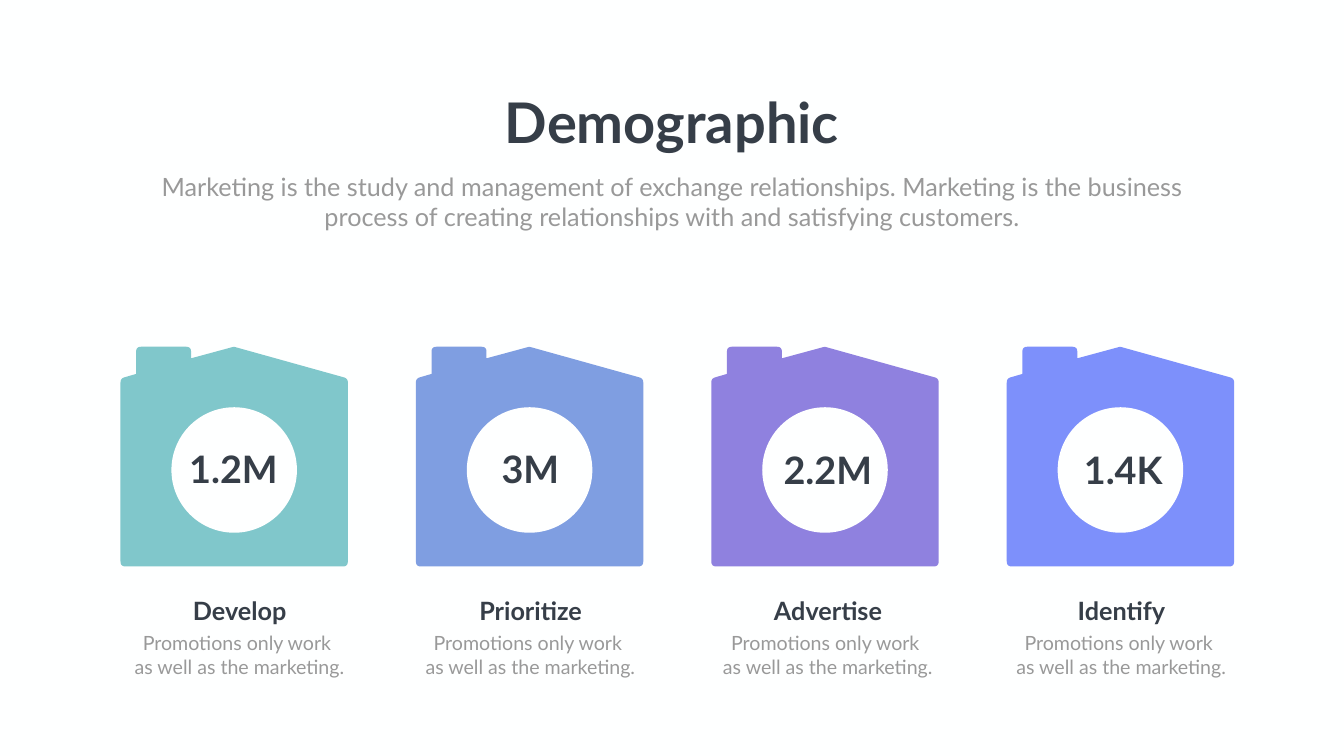
import pptx
import pptx.util
import pptx.dml.color
import pptx.enum.shapes
import pptx.enum.text
from dataclasses import dataclass

Inches = pptx.util.Inches


@dataclass(frozen=True)
class Theme:
    font: str = "Lato"
    ground: str = "FEFFFF"
    ink: str = "363E48"
    soft: str = "999999"
    title: int = 80
    value: int = 54
    lead: int = 36
    note: int = 28


THEME = Theme()
LEFT, TOP, PITCH = 2.39, 6.88, 5.86
HOLE = 2.49
NOTE = ["Promotions only work ", "as well as the marketing."]

CARDS = [
    ("80C7CB", "1.2M", 4.63, 8.8, "Develop", 2.28),
    ("7F9EE1", "3M", 10.52, 8.8, "Prioritize", 8.05),
    ("8F81DF", "2.2M", 16.42, 8.82, "Advertise", 13.95),
    ("7D90FB", "1.4K", 22.28, 8.82, "Identify", 19.77),
]

CORNERS = [
    (0, 0.63, 0.08), (0.31, 0.54, 0), (0.31, 0, 0.1), (1.4, 0, 0.1),
    (1.4, 0.23, 0), (2.25, 0, 0.03), (4.51, 0.63, 0.08),
    (4.51, 4.36, 0.1), (0, 4.36, 0.1),
]


def color(code):
    return pptx.dml.color.RGBColor.from_string(code)


def toward(start, end, dist):
    dx, dy = end[0] - start[0], end[1] - start[1]
    part = dist / (dx * dx + dy * dy) ** 0.5
    return start[0] + dx * part, start[1] + dy * part


def outline(corners, steps=6):
    points = []
    for i, corner in enumerate(corners):
        x, y, radius = corner
        if not radius:
            points.append((x, y))
            continue
        a = toward(corner, corners[i - 1], radius)
        b = toward(corner, corners[(i + 1) % len(corners)], radius)
        for step in range(steps + 1):
            t = step / steps
            u = 1 - t
            points.append((u * u * a[0] + 2 * u * t * x + t * t * b[0],
                           u * u * a[1] + 2 * u * t * y + t * t * b[1]))
    return [(Inches(x), Inches(y)) for x, y in points]


def paint(shape, code):
    shape.shadow.inherit = False
    shape.fill.solid()
    shape.fill.fore_color.rgb = color(code)
    shape.line.fill.background()


def add_body(slide, left, code):
    points = outline(CORNERS)
    build = slide.shapes.build_freeform(*points[0])
    build.add_line_segments(points[1:], close=True)
    paint(build.convert_to_shape(Inches(left), Inches(TOP)), code)


def add_hole(slide, left):
    oval = pptx.enum.shapes.MSO_SHAPE.OVAL
    hole = slide.shapes.add_shape(
        oval, Inches(left + 1.01), Inches(TOP + 1.2), Inches(HOLE), Inches(HOLE))
    paint(hole, THEME.ground)


def set_text(shape, box, lines, size, code, bold=False, wrap=True):
    shape.left, shape.top, shape.width, shape.height = map(Inches, box)
    frame = shape.text_frame
    frame.text = "\n".join(lines)
    frame.word_wrap = wrap
    frame.auto_size = pptx.enum.text.MSO_AUTO_SIZE.NONE
    frame.vertical_anchor = pptx.enum.text.MSO_ANCHOR.TOP
    for para in frame.paragraphs:
        para.alignment = pptx.enum.text.PP_ALIGN.CENTER
        para.space_before = pptx.util.Pt(0)
        for run in para.runs:
            run.font.name = THEME.font
            run.font.size = pptx.util.Pt(size)
            run.font.bold = bold
            run.font.color.rgb = color(code)


def add_text(shapes, box, *args, **style):
    set_text(shapes.add_textbox(*map(Inches, box)), box, *args, **style)


def add_label(slide, left, label):
    group = slide.shapes.add_group_shape()
    add_text(group.shapes, (left + 1.17, 11.77, 2.61, 0.71), [label],
             THEME.lead, THEME.ink, bold=True)
    add_text(group.shapes, (left, 12.47, 4.94, 1.04), NOTE,
             THEME.note, THEME.soft)


def add_card(slide, left, card):
    code, value, mid, top, label, edge = card
    add_body(slide, left, code)
    add_hole(slide, left)
    add_text(slide.shapes, (mid - 0.99, top, 1.98, 1.01), [value],
             THEME.value, THEME.ink, bold=True, wrap=False)
    add_label(slide, edge, label)


def main():
    deck = pptx.Presentation()
    deck.slide_width, deck.slide_height = Inches(26.66), Inches(15)
    slide = deck.slides.add_slide(deck.slide_layouts[0])
    slide.background.fill.solid()
    slide.background.fill.fore_color.rgb = color(THEME.ground)
    set_text(slide.shapes.title, (9.85, 1.69, 6.96, 1.45), ["Demographic"],
             THEME.title, THEME.ink, bold=True, wrap=False)
    lead = ("Marketing is the study and management of exchange relationships. "
            "Marketing is the business process of creating relationships "
            "with and satisfying customers.")
    set_text(slide.placeholders[1], (2.68, 3.35, 21.3, 1.31), [lead],
             THEME.lead, THEME.soft)
    for i, card in enumerate(CARDS):
        add_card(slide, LEFT + i * PITCH, card)
    deck.save("out.pptx")


if __name__ == "__main__":
    main()
